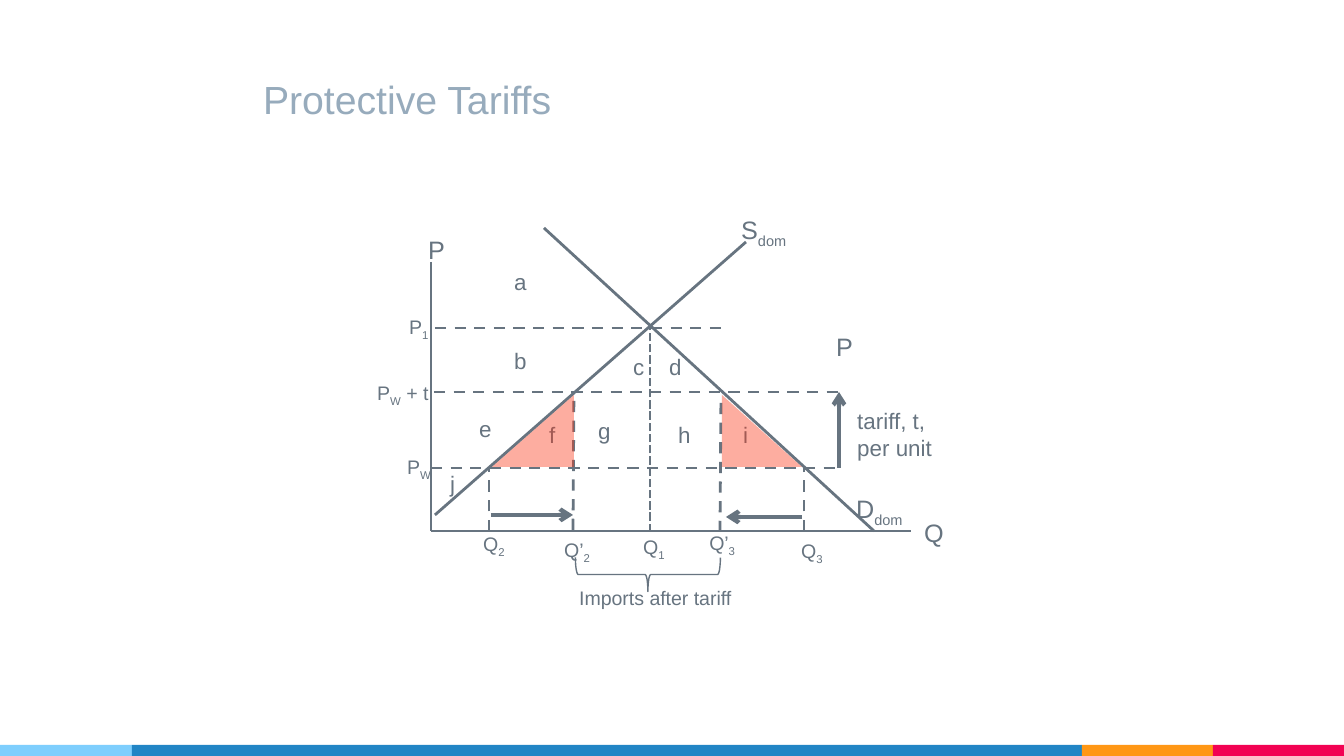
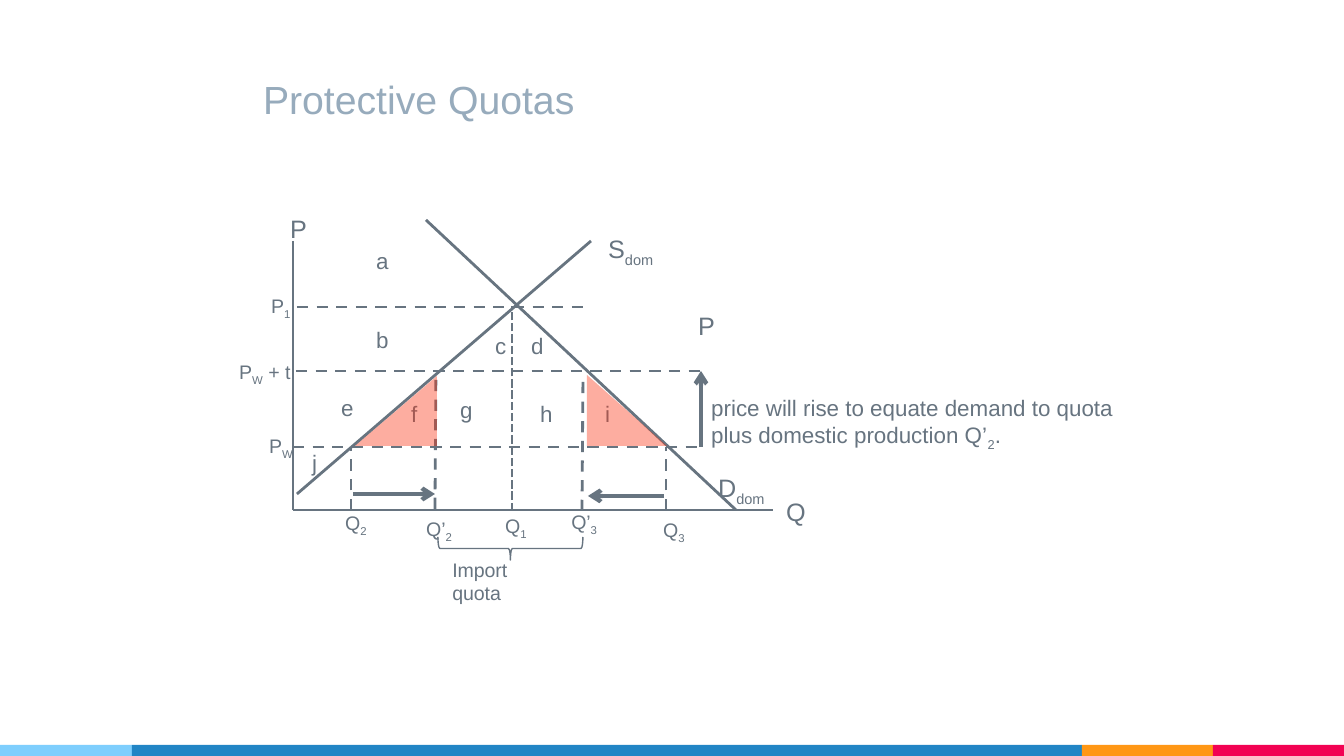
from dataclasses import dataclass
from lxml.etree import SubElement
from pptx import Presentation
from pptx.dml.color import RGBColor
from pptx.enum.dml import MSO_LINE
from pptx.enum.shapes import MSO_CONNECTOR, MSO_SHAPE
from pptx.enum.text import MSO_ANCHOR, MSO_AUTO_SIZE
from pptx.oxml.ns import qn
from pptx.util import Emu, Pt

SCALE = 914400 / 134.4
WIDTH, HEIGHT = 1344, 756
FONT = "Arial"
INK = RGBColor(0x67, 0x74, 0x80)
TITLE = RGBColor(0x97, 0xAB, 0xBC)
LOSS = RGBColor(0xFA, 0x33, 0x12)
SKY = RGBColor(0x7E, 0xCE, 0xFD)
BLUE = RGBColor(0x21, 0x85, 0xC5)
ORANGE = RGBColor(0xFF, 0x97, 0x15)
RED = RGBColor(0xF2, 0x02, 0x53)

BAND_TOP = 745
BANDS = [(0, 132, SKY), (132, 1082, BLUE), (1082, 1213, ORANGE), (1213, WIDTH, RED)]

SMALL, MEDIUM, LARGE = 10.5, 12, 13.5
LABEL_HEIGHTS = {SMALL: 37, MEDIUM: 40, LARGE: 44}
WORLD_PRICE, TARIFF_PRICE, QUANTITY_AXIS = 468, 392, 531
BRACE_CENTRE, BRACE_TOP, BRACE_SPAN = 648, 558, 145

AXES = [((431, 262), (431, QUANTITY_AXIS)), ((911, QUANTITY_AXIS), (431, QUANTITY_AXIS))]
SUPPLY_FOOT, DEMAND_FOOT = (435, 515), (874, QUANTITY_AXIS)
DASHED = [
    ((435, 328), (726, 328)),
    ((431, WORLD_PRICE), (841, WORLD_PRICE)),
    ((434, TARIFF_PRICE), (841, TARIFF_PRICE)),
    ((804, QUANTITY_AXIS), (804, WORLD_PRICE)),
    ((489, QUANTITY_AXIS), (489, WORLD_PRICE)),
    ((720, 532), (721, 395)),
    ((573, 530), (574, TARIFF_PRICE)),
]
EQUILIBRIUM = ((650, 532), (650, 327))
ARROWS = [
    ((839, WORLD_PRICE), (839, TARIFF_PRICE)),
    ((802, 517), (726, 517)),
    ((491, 515), (573, 515)),
]
LABELS = {
    LARGE: [("D_dom_", 843, 487, 78), ("P", 415, 228, 44), ("P", 823, 325, 44),
            ("Q", 911, 511, 47)],
    SMALL: [("P_W_", 394, 448, 52), ("P_1_", 396, 308, 47), ("P_W_ + t", 364, 374, 81),
            ("Q_2_", 470, 525, 50), ("Q’_2_", 551, 531, 54), ("Q_1_", 630, 528, 50),
            ("Q’_3_", 696, 524, 54), ("Q_3_", 788, 532, 50)],
    MEDIUM: [("a", 501, 262, 39), ("b", 501, 341, 39), ("c", 620, 347, 39),
             ("d", 656, 347, 39), ("e", 466, 409, 39), ("f", 536, 415, 34),
             ("g", 585, 411, 39), ("h", 665, 415, 39), ("i", 730, 415, 32),
             ("j", 437, 464, 32)],
}


@dataclass
class Canvas:
    page: object
    right: int = 0
    down: int = 0


@dataclass
class Market:
    title: str
    shift: tuple
    supply_top: tuple
    demand_top: tuple
    supply_label: tuple
    loss_areas: list
    brace_depth: int
    imports_note: tuple
    price_note: tuple
    wrap_notes: bool


TARIFFS = Market(
    "Protective Tariffs", (0, 0), (746, 242), (544, 228), (728, 208),
    [(492, 574, 395), (802, 722, 395)], 34,
    ("Imports after tariff", 566, 579, 181, 37),
    ("tariff, t,\nper unit", 844, 401, 103, 67), False)
QUOTAS = Market(
    "Protective Quotas", (-138, -21), (729, 262), (564, 241), (733, 248),
    [(493, 575, 397), (805, 725, 396)], 23,
    ("Import quota", 577, 572, 132, 60),
    ("price will rise to equate demand to quota plus domestic production Q’_2_.",
     836, 409, 473, 67), True)


def px(length):
    return Emu(round(length * SCALE))


def apply(target, values):
    for name, value in values.items():
        setattr(target, name, value)


def place(canvas, left, top):
    return px(left + canvas.right), px(top + canvas.down)


def add_text(canvas, text, left, top, width, height, size, color=INK, **frame_values):
    box = canvas.page.shapes.add_textbox(*place(canvas, left, top), px(width), px(height))
    frame = box.text_frame
    apply(frame, {"word_wrap": False, "auto_size": MSO_AUTO_SIZE.SHAPE_TO_FIT_TEXT,
                  **frame_values})
    for number, line in enumerate(text.split("\n")):
        para = frame.add_paragraph() if number else frame.paragraphs[0]
        for part, words in enumerate(line.split("_")):
            if not words:
                continue
            span = para.add_run()
            span.text = words
            apply(span.font, {"name": FONT, "size": Pt(size)})
            span.font.color.rgb = color
            if part % 2:
                span.font._element.set("baseline", "-25000")


def add_line(canvas, start, end, width=1.5, dash=None, arrow=False):
    line = canvas.page.shapes.add_connector(
        MSO_CONNECTOR.STRAIGHT, *place(canvas, *start), *place(canvas, *end))
    line.line.color.rgb = INK
    apply(line.line, {"width": Pt(width), "dash_style": dash})
    if arrow:
        SubElement(line.line._get_or_add_ln(), qn("a:tailEnd"), type="arrow")
    SubElement(line._element.spPr, qn("a:effectLst"))


def fill_plain(shape, color):
    shape.shadow.inherit = False
    shape.fill.solid()
    shape.fill.fore_color.rgb = color
    shape.line.fill.background()


def add_loss_area(canvas, corner, side, top):
    base = WORLD_PRICE - 1
    points = [(x + canvas.right, y + canvas.down)
              for x, y in [(corner, base), (side, top), (side, base)]]
    outline = canvas.page.shapes.build_freeform(*points[0], scale=SCALE)
    outline.add_line_segments(points[1:], close=True)
    area = outline.convert_to_shape()
    fill_plain(area, LOSS)
    color = area._element.spPr.find(".//" + qn("a:srgbClr"))
    SubElement(color, qn("a:alpha"), val="40000")


def add_brace(canvas, depth):
    left = BRACE_CENTRE - depth // 2
    top = BRACE_TOP + (depth - BRACE_SPAN) // 2
    brace = canvas.page.shapes.add_shape(
        MSO_SHAPE.LEFT_BRACE, *place(canvas, left, top), px(depth), px(BRACE_SPAN))
    brace.shadow.inherit = False
    brace.fill.background()
    brace.line.color.rgb = INK
    brace.line.width = Pt(0.75)
    brace.rotation = 90
    brace._element.spPr.xfrm.set("flipH", "1")


def add_page(deck, title):
    page = deck.slides.add_slide(deck.slide_layouts[6])
    for left, right, color in BANDS:
        band = page.shapes.add_shape(
            MSO_SHAPE.RECTANGLE, px(left), px(BAND_TOP), px(right - left),
            px(HEIGHT - BAND_TOP))
        fill_plain(band, color)
    margins = {f"margin_{side}": px(13) for side in ("left", "top", "right", "bottom")}
    add_text(Canvas(page), title, 250, 9, 876, 126, 21, TITLE, word_wrap=True,
             auto_size=MSO_AUTO_SIZE.NONE, vertical_anchor=MSO_ANCHOR.BOTTOM, **margins)
    return page


def draw_market(deck, market):
    canvas = Canvas(add_page(deck, market.title), *market.shift)
    curves = [(market.supply_top, SUPPLY_FOOT), (market.demand_top, DEMAND_FOOT)]
    for start, end in AXES + curves:
        add_line(canvas, start, end)
    for start, end in DASHED:
        add_line(canvas, start, end, dash=MSO_LINE.DASH)
    add_line(canvas, *EQUILIBRIUM, dash=MSO_LINE.SQUARE_DOT)
    for start, end in ARROWS:
        add_line(canvas, start, end, width=2.25, arrow=True)
    add_text(canvas, "S_dom_", *market.supply_label, 77, LABEL_HEIGHTS[LARGE], LARGE)
    for size, labels in LABELS.items():
        for label in labels:
            add_text(canvas, *label, LABEL_HEIGHTS[size], size)
    for area in market.loss_areas:
        add_loss_area(canvas, *area)
    add_brace(canvas, market.brace_depth)
    add_text(canvas, *market.imports_note, SMALL, word_wrap=market.wrap_notes)
    add_text(canvas, *market.price_note, MEDIUM, word_wrap=market.wrap_notes)


def main():
    deck = Presentation()
    apply(deck, {"slide_width": px(WIDTH), "slide_height": px(HEIGHT)})
    for market in (TARIFFS, QUOTAS):
        draw_market(deck, market)
    deck.save("out.pptx")


if __name__ == "__main__":
    main()
